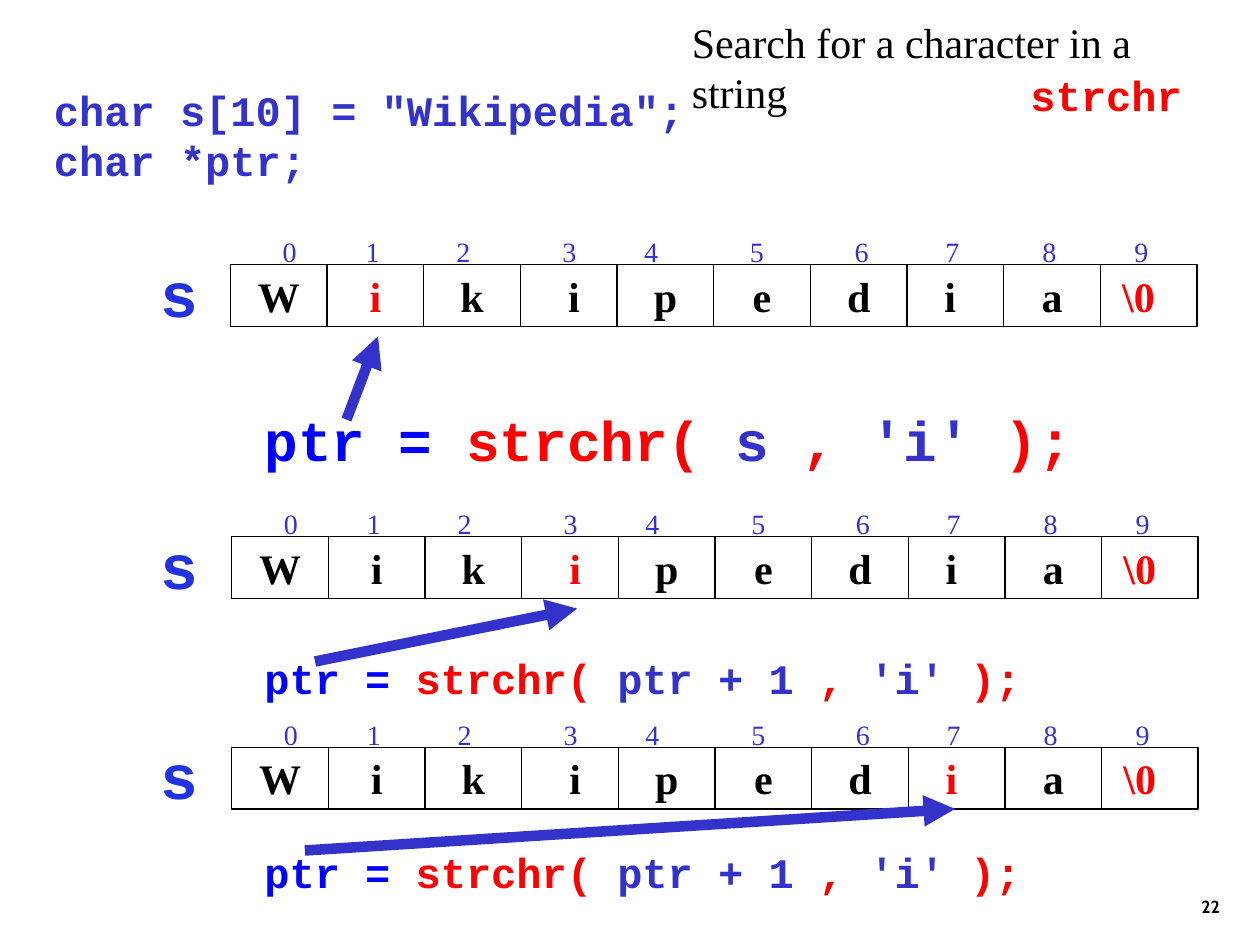
from dataclasses import dataclass

from lxml import etree
from pptx import Presentation
from pptx.dml.color import RGBColor
from pptx.enum import shapes, text
from pptx.oxml.ns import qn
from pptx.util import Inches, Pt

BLACK, RED, BLUE, INDIGO = "000000", "FF0000", "0000FF", "3333CC"
SERIF, MONO = "Times New Roman", "Courier New"
LETTERS = ["W", "i", "k", "i", "p", "e", "d", "i", "a", "\\0"]
ROW_WIDTH, ROW_HEIGHT = 7.67, 0.49
CELL_WIDTH = ROW_WIDTH / len(LETTERS)
CELL_SHIFTS = {3: 0.04, 7: -0.04, 9: -0.08}  # letters set off-centre
INDEX_CENTRES = [0.37, 1.03, 1.75, 2.59, 3.24, 4.08, 4.91, 5.63, 6.4, 7.13]


@dataclass
class Span:
    text: str
    color: str
    size: float = 24
    name: str = MONO
    bold: bool = True


@dataclass
class Step:
    left: float
    top: float
    found: int
    call_top: float
    call_width: float
    call_size: float
    argument: str
    arrow: tuple[float, float, float, float]


STEPS = [
    Step(1.83, 2.1, 1, 3.17, 6.75, 32, "s ", (2.75, 3.33, 3, 2.67)),
    Step(1.84, 4.26, 3, 5.13, 7.75, 24, "ptr + 1 ", (2.5, 5.25, 4.58, 4.83)),
    Step(1.84, 5.93, 7, 6.67, 7.75, 24, "ptr + 1 ", (2.42, 6.75, 7.58, 6.42)),
]


def rgb(value: str) -> RGBColor:
    return RGBColor.from_string(value)


def write(box, lines: list[list[Span]], align="LEFT", anchor="TOP", wrap=True) -> None:
    frame = box.text_frame
    settings = {
        "word_wrap": wrap,
        "auto_size": text.MSO_AUTO_SIZE.NONE,
        "vertical_anchor": getattr(text.MSO_ANCHOR, anchor),
        "margin_left": Inches(0.1), "margin_right": Inches(0.1),
        "margin_top": Inches(0.05), "margin_bottom": Inches(0.05),
    }
    for key, value in settings.items():
        setattr(frame, key, value)
    for number, spans in enumerate(lines):
        para = frame.add_paragraph() if number else frame.paragraphs[0]
        para.alignment = getattr(text.PP_ALIGN, align)
        for span in spans:
            run = para.add_run()
            run.text = span.text
            font = {"name": span.name, "size": Pt(span.size), "bold": span.bold}
            for key, value in font.items():
                setattr(run.font, key, value)
            run.font.color.rgb = rgb(span.color)


def add_text(parent, left, top, width, height, lines, **options):
    box = parent.add_textbox(*map(Inches, (left, top, width, height)))
    write(box, lines, **options)
    return box


def add_array(page, step: Step) -> None:
    """Index numbers above a row of bordered character cells."""
    row = page.shapes.add_group_shape().shapes
    numbers = "".join(f"\t{index}" for index in range(len(LETTERS)))
    box = add_text(row, step.left, step.top - 0.35, ROW_WIDTH, ROW_HEIGHT,
                   [[Span(numbers, INDIGO, 16, SERIF, False)]], anchor="MIDDLE")
    properties = box.text_frame.paragraphs[0]._p.get_or_add_pPr()
    tabs = etree.SubElement(properties, qn("a:tabLst"))
    for centre in INDEX_CENTRES:
        etree.SubElement(tabs, qn("a:tab"), pos=str(Inches(centre)), algn="ctr")

    for index, letter in enumerate(LETTERS):
        cell = row.add_shape(
            shapes.MSO_SHAPE.RECTANGLE,
            Inches(step.left + index * CELL_WIDTH), Inches(step.top),
            Inches(CELL_WIDTH), Inches(ROW_HEIGHT))
        cell.shadow.inherit = False
        cell.fill.background()
        cell.line.color.rgb = rgb(BLACK)
        cell.line.width = Pt(0.75)
        color = RED if index in (step.found, len(LETTERS) - 1) else BLACK
        write(cell, [[Span(letter, color, 24, SERIF)]],
              align="CENTER", anchor="MIDDLE", wrap=False)
        shift = CELL_SHIFTS.get(index, 0)
        cell.text_frame.margin_left = Inches(0.1 + shift)
        cell.text_frame.margin_right = Inches(0.1 - shift)


def add_arrow(page, start_x, start_y, end_x, end_y) -> None:
    arrow = page.shapes.add_connector(
        shapes.MSO_CONNECTOR.STRAIGHT, *map(Inches, (start_x, start_y, end_x, end_y)))
    arrow.line.color.rgb = rgb(INDIGO)
    arrow.line.width = Pt(6)
    etree.SubElement(arrow.line._get_or_add_ln(), qn("a:tailEnd"), type="triangle")
    etree.SubElement(arrow._element.spPr, qn("a:effectLst"))


def add_step(page, step: Step) -> None:
    add_array(page, step)
    add_text(page.shapes, 1.17, step.top - 0.13, 0.5, 0.7,
             [[Span("s", "2133DF", 36)]], align="RIGHT", wrap=False)
    parts = [("ptr = ", BLUE), ("strchr( ", RED), (step.argument, INDIGO),
             (",", RED), (" 'i' ", INDIGO), (");", RED)]
    call = [Span(part, color, step.call_size) for part, color in parts]
    add_text(page.shapes, 2, step.call_top, step.call_width, 0.5, [call])
    add_arrow(page, *step.arrow)


def main() -> None:
    deck = Presentation()
    deck.slide_width, deck.slide_height = Inches(10), Inches(7.5)
    page = deck.slides.add_slide(deck.slide_layouts[5])

    # Title and function name
    title = page.shapes.title
    place = {"left": 5.39, "top": 0.08, "width": 4.53, "height": 0.5}
    for key, value in place.items():
        setattr(title, key, Inches(value))
    write(title, [[Span("Search for a character in a string", BLACK, 24, SERIF, False)]],
          wrap=False)
    add_text(page.shapes, 8.08, 0.5, 1.75, 0.5, [[Span("strchr", RED)]])

    # Declarations
    add_text(page.shapes, 0.33, 0.62, 7.42, 0.9,
             [[Span('char s[10] = "Wikipedia";', INDIGO)], [Span("char *ptr;", INDIGO)]])

    # Successive searches
    for step in STEPS:
        add_step(page, step)

    # Page number
    add_text(page.shapes, 7.7, 6.83, 2.08, 0.5, [[Span("22", BLACK, 10, "Cabin")]],
             align="RIGHT", anchor="BOTTOM")
    deck.save("out.pptx")


if __name__ == "__main__":
    main()
